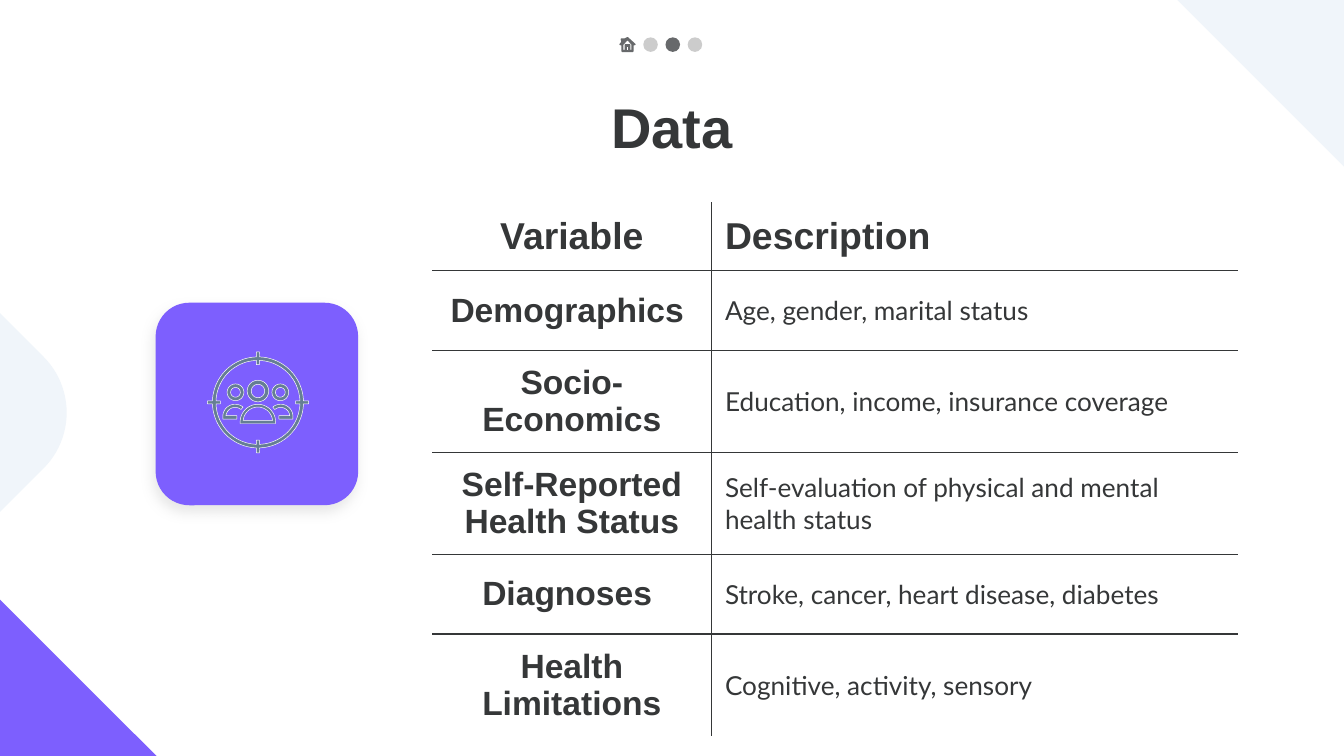
"""Build the Data slide: a table of variables beside a target-audience icon."""
from dataclasses import dataclass
from math import cos, radians, sin

from lxml import etree
from pptx import Presentation
from pptx.dml.color import RGBColor
from pptx.enum.shapes import MSO_SHAPE
from pptx.enum.text import MSO_ANCHOR, PP_ALIGN
from pptx.oxml.ns import qn
from pptx.util import Pt

ROUNDED, OVAL = MSO_SHAPE.ROUNDED_RECTANGLE, MSO_SHAPE.OVAL
MIDDLE = MSO_ANCHOR.MIDDLE
LEFT, CENTER = PP_ALIGN.LEFT, PP_ALIGN.CENTER


@dataclass(frozen=True)
class Theme:
    ink: str = "353738"
    accent: str = "7D5FFE"
    pale: str = "F0F5FA"
    dark_dot: str = "67696B"
    light_dot: str = "B0B0B0"
    icon: str = "657E93"
    white: str = "FFFFFF"
    heading_font: str = "Arial"
    body_font: str = "Lato"
    title_size: int = 30
    header_size: int = 20
    label_size: int = 18
    body_size: int = 14


theme = Theme()


def arc(cx, cy, radius, start, end, steps=24):
    angles = [radians(start + (end - start) * i / steps) for i in range(steps + 1)]
    return [(cx + radius * cos(a), cy + radius * sin(a)) for a in angles]


def add_outline(left, top, contours, fill, line, width):
    scaled = [[(x * 100, y * 100) for x, y in contour] for contour in contours]
    builder = s.shapes.build_freeform(*scaled[0][0], scale=Pt(1) / 100)
    for i, contour in enumerate(scaled):
        if i:
            builder.move_to(*contour[0])
        builder.add_line_segments(contour[1:], close=True)
    sp = builder.convert_to_shape(Pt(left), Pt(top))
    sp.shadow.inherit = False
    sp.fill.solid()
    sp.fill.fore_color.rgb = RGBColor.from_string(fill)
    sp.line.color.rgb = RGBColor.from_string(line)
    sp.line.width = Pt(width)


prs = Presentation()
prs.slide_width, prs.slide_height = Pt(720), Pt(405)
s = prs.slides.add_slide(prs.slide_layouts[5])

shapes = [
    (ROUNDED, 644.4, -165.6, 253.44, 315, theme.pale, 100),
    (ROUNDED, -252.72, 94.32, 253.44, 315, theme.pale, 100),
    (ROUNDED, -168.48, 331.92, 253.44, 315, theme.accent, 100),
    (OVAL, 344.6, 20, 7.8, 0, theme.light_dot, 64),
    (OVAL, 356.5, 20, 7.8, 0, theme.dark_dot, 100),
    (OVAL, 368.4, 20, 7.8, 0, theme.light_dot, 64),
    (ROUNDED, 83.4, 162.2, 108.5, 0, theme.accent, 100),
]
for kind, left, top, size, rotation, color, opacity in shapes:
    sp = s.shapes.add_shape(kind, Pt(left), Pt(top), Pt(size), Pt(size))
    sp.rotation = rotation
    sp.shadow.inherit = False
    sp.line.fill.background()
    sp.fill.solid()
    sp.fill.fore_color.rgb = RGBColor.from_string(color)
    if opacity < 100:
        clr = sp._element.spPr.find(qn("a:solidFill"))[0]
        etree.SubElement(clr, qn("a:alpha"), val=str(opacity * 1000))

effects = sp._element.spPr.find(qn("a:effectLst"))
shadow = etree.SubElement(effects, qn("a:outerShdw"), blurRad=str(Pt(6.8)),
                          dist=str(Pt(3.8)), dir=str(111 * 60000),
                          algn="bl", rotWithShape="0")
clr = etree.SubElement(shadow, qn("a:srgbClr"), val=theme.light_dot)
etree.SubElement(clr, qn("a:alpha"), val="30000")

title = s.shapes.title
title.left, title.top, title.width, title.height = Pt(56.7), Pt(42.5), Pt(606.6), Pt(49.7)
tf = title.text_frame
tf.text = "Data"
tf.vertical_anchor = MIDDLE
tf.margin_left = tf.margin_right = tf.margin_top = tf.margin_bottom = Pt(7.2)
p = tf.paragraphs[0]
p.alignment = CENTER
r = p.runs[0]
r.font.name, r.font.size, r.font.bold = theme.heading_font, Pt(theme.title_size), True
r.font.color.rgb = RGBColor.from_string(theme.ink)

rows = [
    ("Variable", "Description"),
    ("Demographics ", "Age, gender, marital status"),
    ("Socio-Economics", "Education, income, insurance coverage"),
    ("Self-Reported Health Status", "Self-evaluation of physical and mental health status"),
    ("Diagnoses ", "Stroke, cancer, heart disease, diabetes"),
    ("Health Limitations", "Cognitive, activity, sensory"),
]
heights = [36.6, 42.6, 54.6, 54.6, 42.6, 54.6]
table = s.shapes.add_table(len(rows), 2, Pt(231.5), Pt(108.3), Pt(432), Pt(sum(heights))).table
table.first_row = table.horz_banding = False
table.columns[0].width, table.columns[1].width = Pt(149.7), Pt(282.3)
for i, row in enumerate(rows):
    table.rows[i].height = Pt(heights[i])
    for j, text in enumerate(row):
        cell = table.cell(i, j)
        cell.text = text
        cell.vertical_anchor = MIDDLE
        cell.margin_left = cell.margin_right = cell.margin_top = cell.margin_bottom = Pt(7.2)
        p = cell.text_frame.paragraphs[0]
        p.alignment = LEFT if j else CENTER
        r = p.runs[0]
        r.font.bold = i == 0 or j == 0
        r.font.name = theme.heading_font if r.font.bold else theme.body_font
        r.font.size = Pt(theme.header_size if i == 0 else theme.body_size if j else theme.label_size)
        r.font.color.rgb = RGBColor.from_string(theme.ink)
        borders = {"L": j == 1, "R": j == 0, "T": i > 0, "B": i < len(rows) - 1}
        for side, visible in borders.items():
            ln = etree.SubElement(cell._tc.get_or_add_tcPr(), qn(f"a:ln{side}"), w=str(Pt(0.75)))
            if visible:
                solid = etree.SubElement(ln, qn("a:solidFill"))
                etree.SubElement(solid, qn("a:srgbClr"), val=theme.ink)
            else:
                etree.SubElement(ln, qn("a:noFill"))
        cell.fill.background()

house = [
    [(0, 0), (4, 3.6), (2.9, 3.9), (2.9, 7.3), (-2.9, 7.3), (-2.9, 3.9),
     (-4, 3.6), (-2.9, 2.3), (-3.3, 0.8), (-1.5, 0.8)],
    [(0, 0.9), (2.5, 3.6), (2.5, 6.9), (1.2, 6.9), (1.2, 3.8),
     (-1.2, 3.8), (-1.2, 6.9), (-2.5, 6.9), (-2.5, 3.6)],
    [(-0.7, 4.4), (0.7, 4.4), (0.7, 6.9), (-0.7, 6.9)],
]
add_outline(336.2, 20.2, house, theme.dark_dot, theme.dark_dot, 0.75)

heads = [[arc(x, y, outer, 0, 360), arc(x, y, inner, 0, 360)]
         for x, y, outer, inner in [(-12, -5.4, 4.5, 2.6), (12, -5.4, 4.5, 2.6), (0, -6.1, 5.8, 3.6)]]
shoulder = (arc(12.2, 7.6, 6.6, 230, 360) + [(18.8, 9), (11.3, 9), (11.3, 7.1), (17.1, 7.1)]
            + arc(12.2, 7.6, 4.9, 350, 230))
body = [arc(0, 10.5, 9.5, 180, 360) + [(9.5, 11.3), (-9.5, 11.3)],
        arc(0, 10.4, 7.9, 185, 355)]
rim, bore = [], []
for q in range(0, 360, 90):
    rim += arc(0, 0, 24.4, q + 2, q + 88) + arc(0, 0, 27.1, q + 88.3, q + 91.7, 1)
    bore += arc(0, 0, 22.5, q + 2, q + 88) + arc(0, 0, 20.2, q + 87.7, q + 92.3, 1)
mirrored = [(-x, y) for x, y in shoulder]
for contours in [*heads, [shoulder], [mirrored], body, [rim, bore]]:
    add_outline(138.2, 215.6, contours, theme.icon, theme.white, 0.25)

prs.save("out.pptx")
